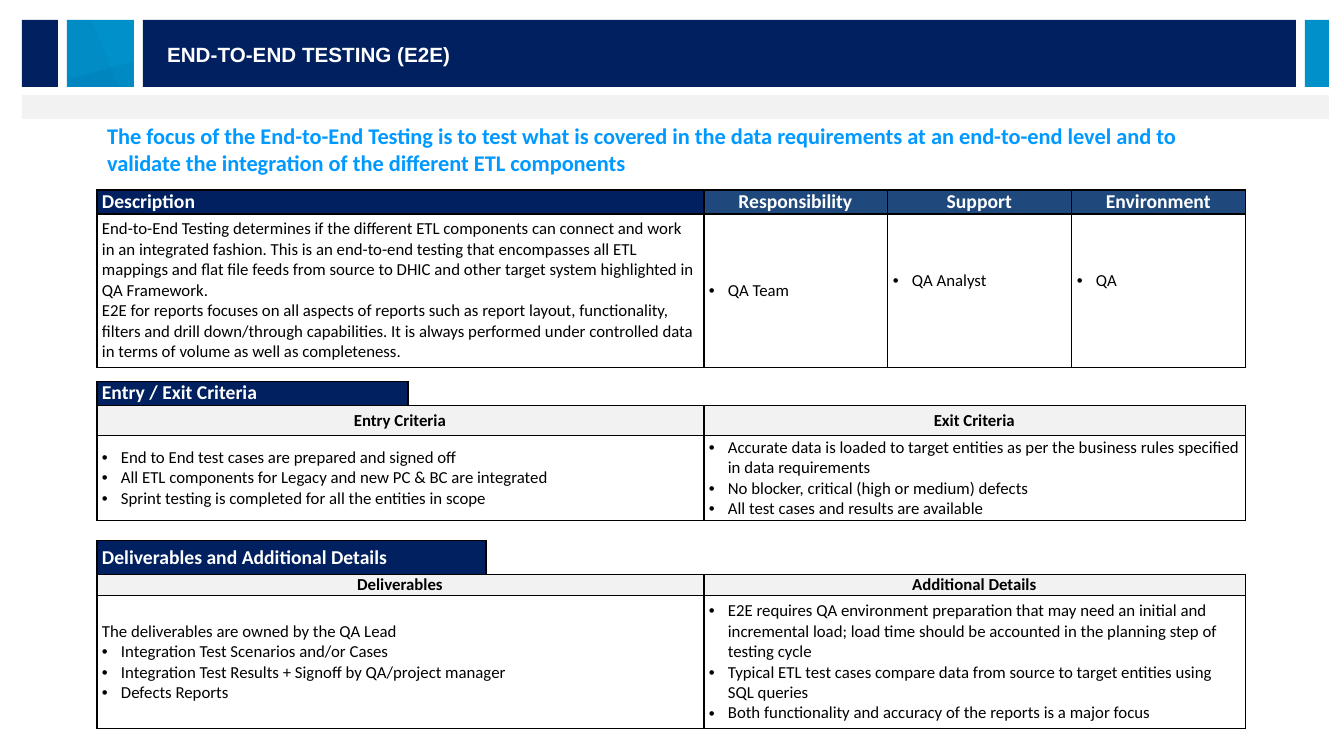
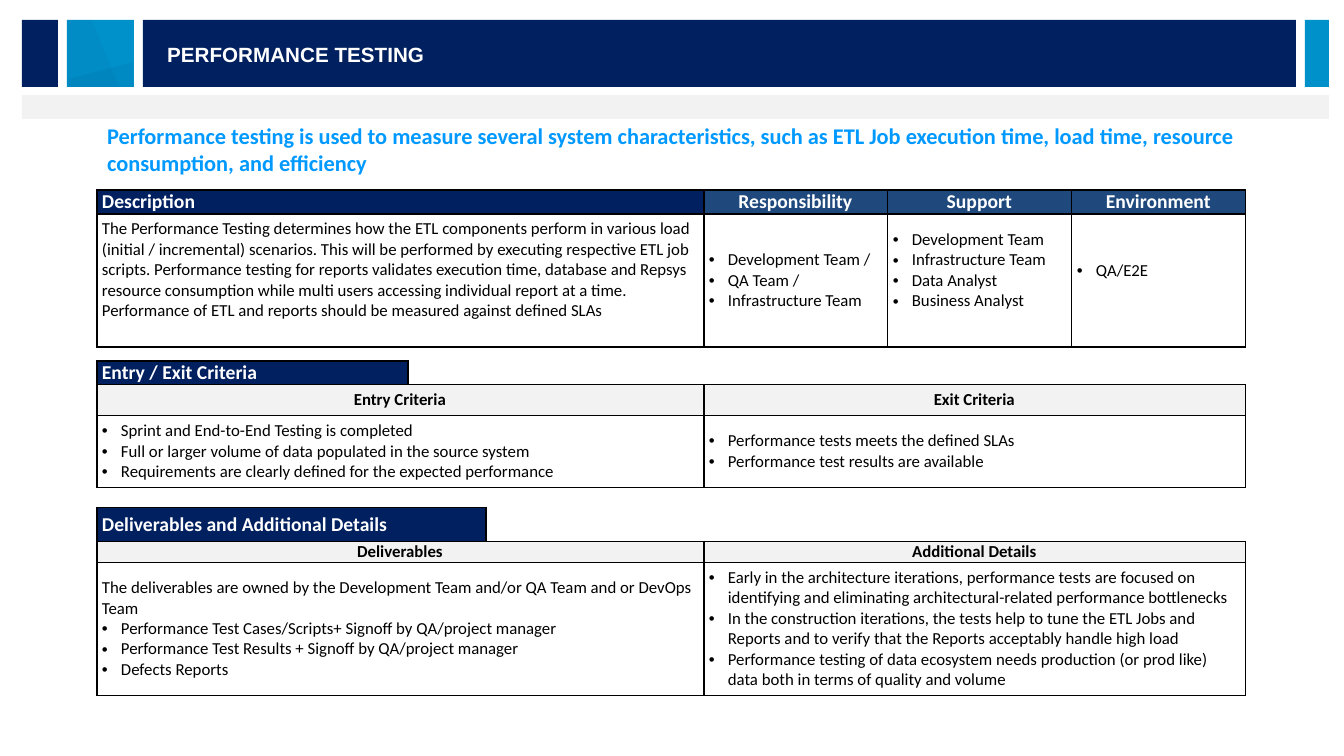
from dataclasses import dataclass

from lxml.etree import SubElement
from pptx import Presentation
from pptx.dml.color import RGBColor
from pptx.enum.shapes import MSO_SHAPE
from pptx.enum.text import MSO_ANCHOR, MSO_AUTO_SIZE, PP_ALIGN
from pptx.oxml import parse_xml
from pptx.oxml.ns import nsdecls, qn
from pptx.util import Pt

EMU_PER_PX = 914400 / 100.8
NO_TABLE_STYLE = "{2D5ABB26-0587-4C30-8999-92F81FD0307C}"
COLUMNS = (311, 78, 218, 184, 184, 174)
ROW_COUNT = 10


def px(length):
    return round(length * EMU_PER_PX)


@dataclass(frozen=True)
class Theme:
    navy: str = "002060"
    steel: str = "1F497D"
    shade: str = "17375E"
    cyan: str = "0091CB"
    headline: str = "0099FF"
    grey: str = "F2F2F2"
    white: str = "FFFFFF"
    black: str = "000000"
    text_font: str = "Calibri"
    banner_font: str = "Arial"
    headline_size: float = 16
    banner_size: float = 14.7
    heading_size: float = 14
    body_size: float = 12
    border_width: float = 1


class TestingDeck:
    def __init__(self, theme):
        self.theme = theme
        self.deck = Presentation()
        self.deck.slide_width, self.deck.slide_height = px(1344), px(756)
        self.layout = self.deck.slide_layouts[1]
        self.page = None
        self.table = None
        self.band_count = 0

    # Page frame
    def add_page(self, banner, headline):
        self.page = self.deck.slides.add_slide(self.layout)
        if not self.band_count:
            self.add_bands()
        theme = self.theme
        title, body = self.page.placeholders
        self.fill_placeholder(title, (97, 117, 1150, 73), headline, MSO_ANCHOR.TOP,
                              theme.text_font, theme.headline_size, theme.headline)
        self.fill_placeholder(body, (157, 38, 829, 33), banner, MSO_ANCHOR.MIDDLE,
                              theme.banner_font, theme.banner_size, theme.white)

    def fill_placeholder(self, box, place, text, anchor, font, size, color):
        box.left, box.top, box.width, box.height = map(px, place)
        frame = box.text_frame
        frame.word_wrap = True
        frame.auto_size = MSO_AUTO_SIZE.NONE
        frame.vertical_anchor = anchor
        para = frame.paragraphs[0]
        para.text = text
        para.alignment = PP_ALIGN.LEFT
        para.space_before = Pt(0)
        self.style(para, font, size, color, True)
        properties = para._p.get_or_add_pPr()
        properties.set("marL", "0")
        properties.set("indent", "0")
        properties.insert_element_before(
            parse_xml(f"<a:buNone {nsdecls('a')}/>"), "a:tabLst", "a:defRPr")

    def style(self, para, font, size, color, bold):
        para.font.name = font
        para.font.size = Pt(size)
        para.font.bold = bold
        para.font.color.rgb = RGBColor.from_string(color)

    # Shared bands, kept on the layout
    def add_bands(self):
        theme = self.theme
        for color, place in (
            (theme.navy, (143, 20, 1153, 67)),
            (theme.cyan, (67, 20, 67, 67)),
            (theme.navy, (22, 20, 36, 67)),
            (theme.cyan, (1305, 20, 24, 67)),
            (theme.grey, (22, 95, 1307, 24)),
        ):
            band = self.page.shapes.add_shape(MSO_SHAPE.RECTANGLE, *map(px, place))
            self.move_to_layout(band, color)
        for color, opacity, points in (
            (theme.shade, 5, ((67, 20), (92, 20), (119, 87), (67, 87))),
            (theme.navy, 6, ((133, 62), (69, 79), (69, 87), (133, 87))),
        ):
            outline = self.page.shapes.build_freeform(*points[0], scale=EMU_PER_PX)
            outline.add_line_segments(points[1:])
            facet = outline.convert_to_shape()
            self.move_to_layout(facet, color)
            tint = facet.element.spPr.find(f"{qn('a:solidFill')}/{qn('a:srgbClr')}")
            SubElement(tint, qn("a:alpha"), val=str(opacity * 1000))

    def move_to_layout(self, shape, color):
        shape.shadow.inherit = False
        shape.fill.solid()
        shape.fill.fore_color.rgb = RGBColor.from_string(color)
        shape.line.fill.background()
        shape.element.xpath("./p:nvSpPr/p:cNvPr")[0].set("id", str(100 + self.band_count))
        self.layout.shapes.element.insert(2 + self.band_count, shape.element)
        self.band_count += 1

    # Table
    def start_table(self, heights):
        frame = self.page.shapes.add_table(
            ROW_COUNT, len(COLUMNS), px(97), px(190), px(sum(COLUMNS)), px(sum(heights)))
        frame.element.find(f".//{qn('a:tableStyleId')}").text = NO_TABLE_STYLE
        self.table = frame.table
        self.table.first_row = self.table.horz_banding = False
        for column, width in zip(self.table.columns, COLUMNS):
            column.width = px(width)
        for row, height in zip(self.table.rows, heights):
            row.height = px(height)

    def add_span(self, row, column, span, sides):
        cell = self.table.cell(row, column)
        last = column + span - 1
        if span > 1:
            cell.merge(self.table.cell(row, last))
        self.draw_borders(cell, sides)
        for place in range(column + 1, last + 1):
            inner = sides.replace("L", "")
            self.draw_borders(self.table.cell(row, place),
                              inner if place == last else inner.replace("R", ""))
        return cell

    def add_gap(self, row, column, span, sides):
        cell = self.add_span(row, column, span, sides)
        cell.fill.background()
        cell.margin_top = cell.margin_bottom = 0

    def add_cell(self, row, column, span, fill, plain=(), bullets=(), size=None, color=None,
                 bold=False, align=PP_ALIGN.LEFT, anchor=MSO_ANCHOR.MIDDLE, inset=5, trail=0):
        theme = self.theme
        cell = self.add_span(row, column, span, "LRTB")
        cell.fill.solid()
        cell.fill.fore_color.rgb = RGBColor.from_string(fill)
        cell.vertical_anchor = anchor
        cell.margin_left, cell.margin_right = px(5), px(6)
        cell.margin_top, cell.margin_bottom = px(inset), px(inset + trail)
        frame = cell.text_frame
        for index, text in enumerate((*plain, *bullets)):
            para = frame.add_paragraph() if index else frame.paragraphs[0]
            para.text = text
            para.alignment = align
            self.style(para, theme.text_font, size or theme.body_size,
                       color or theme.black, bold)
            if index >= len(plain):
                self.add_bullet(para)

    def add_bullet(self, para):
        properties = para._p.get_or_add_pPr()
        properties.set("marL", str(px(19)))
        properties.set("indent", str(-px(19)))
        for xml in (f'<a:buFont {nsdecls("a")} typeface="Arial"/>',
                    f'<a:buChar {nsdecls("a")} char="•"/>'):
            properties.insert_element_before(parse_xml(xml), "a:tabLst", "a:defRPr")

    def draw_borders(self, cell, sides):
        properties = cell._tc.get_or_add_tcPr()
        black = f'<a:solidFill><a:srgbClr val="{self.theme.black}"/></a:solidFill>'
        for index, side in enumerate("LRTB"):
            paint = black if side in sides else "<a:noFill/>"
            properties.insert(index, parse_xml(
                f'<a:ln{side} {nsdecls("a")} w="{Pt(self.theme.border_width)}">'
                f'{paint}</a:ln{side}>'))

    def finish_table(self):
        # Tiny type in empty cells keeps the gap rows low
        for cell in self.table.iter_cells():
            if not cell.text_frame.text:
                SubElement(cell.text_frame.paragraphs[0]._p, qn("a:endParaRPr"), sz="100")

    def add_section_heading(self, row, column, span, text, fill, **options):
        self.add_cell(row, column, span, fill, [text], size=self.theme.heading_size,
                      color=self.theme.white, bold=True, **options)

    def add_column_pair(self, row, headings, left, right, heading_inset, right_inset):
        theme = self.theme
        for column, text in zip((0, 3), headings):
            self.add_cell(row, column, 3, theme.grey, [text], bold=True,
                          align=PP_ALIGN.CENTER, inset=heading_inset)
        self.add_cell(row + 1, 0, 3, theme.white, **left)
        self.add_cell(row + 1, 3, 3, theme.white, bullets=right, inset=right_inset)

    def add_test_page(self, content):
        theme = self.theme
        self.add_page(content["banner"], content["headline"])
        description, entry = content["row_heights"]
        self.start_table((24, description, 14, 24, 30, entry, 20, 34, 21, 133))

        # Description and roles
        self.add_section_heading(0, 0, 3, "Description", theme.navy, inset=0)
        self.add_cell(1, 0, 3, theme.white, content["description"], anchor=MSO_ANCHOR.TOP)
        for column, role in enumerate(("Responsibility", "Support", "Environment"), 3):
            self.add_section_heading(0, column, 1, role, theme.steel,
                                     align=PP_ALIGN.CENTER, inset=0)
            self.add_cell(1, column, 1, theme.white, bullets=content[role], inset=0,
                          trail=0 if role == "Responsibility" else 20)

        # Criteria and deliverables
        self.add_section_heading(3, 0, 1, "Entry / Exit Criteria", theme.navy, inset=0)
        self.add_column_pair(4, ("Entry Criteria", "Exit Criteria"),
                             {"bullets": content["entry"]}, content["exit"], 5, 0)
        self.add_section_heading(7, 0, 2, "Deliverables and Additional Details", theme.navy)
        self.add_column_pair(8, ("Deliverables", "Additional Details"),
                             {"plain": [content["owner"]], "bullets": content["deliverables"]},
                             content["details"], 0, 5)

        # Gaps between the sections and beside their headings
        for row, column, span, sides in (
            (2, 0, 5, "T"), (2, 5, 1, "T"), (3, 1, 5, "LB"),
            (6, 0, 3, "T"), (6, 3, 3, "T"), (7, 2, 4, "LB"),
        ):
            self.add_gap(row, column, span, sides)
        self.finish_table()


PAGES = (
    {
        "banner": "END-TO-END TESTING (E2E)",
        "headline": "The focus of the End-to-End Testing is to test what is covered in the data "
                    "requirements at an end-to-end level and to validate the integration of the "
                    "different ETL components",
        "row_heights": (153, 85),
        "description": (
            "End-to-End Testing determines if the different ETL components can connect and work "
            "in an integrated fashion. This is an end-to-end testing that encompasses all ETL "
            "mappings and flat file feeds from source to DHIC and other target system "
            "highlighted in QA Framework.",
            "E2E for reports focuses on all aspects of reports such as report layout, "
            "functionality, filters and drill down/through capabilities. It is always performed "
            "under controlled data in terms of volume as well as completeness."),
        "Responsibility": ("QA Team",),
        "Support": ("QA Analyst",),
        "Environment": ("QA",),
        "entry": ("End to End test cases are prepared and signed off",
                  "All ETL components for Legacy and new PC & BC are integrated",
                  "Sprint testing is completed for all the entities in scope"),
        "exit": ("Accurate data is loaded to target entities as per the business rules "
                 "specified in data requirements",
                 "No blocker, critical (high or medium) defects",
                 "All test cases and results are available"),
        "owner": "The deliverables are owned by the QA Lead",
        "deliverables": ("Integration Test Scenarios and/or Cases",
                         "Integration Test Results + Signoff by QA/project manager",
                         "Defects Reports"),
        "details": ("E2E requires QA environment preparation that may need an initial and "
                    "incremental load; load time should be accounted in the planning step of "
                    "testing cycle",
                    "Typical ETL test cases compare data from source to target entities using "
                    "SQL queries",
                    "Both functionality and accuracy of the reports is a major focus"),
    },
    {
        "banner": "PERFORMANCE TESTING",
        "headline": "Performance testing is used to measure several system characteristics, such "
                    "as ETL Job execution time, load time, resource consumption, and efficiency",
        "row_heights": (133, 72),
        "description": (
            "The Performance Testing determines how the ETL components perform in various load "
            "(initial / incremental) scenarios. This will be performed by executing respective "
            "ETL job scripts. Performance testing for reports validates execution time, database "
            "and Repsys resource consumption while multi users accessing individual report at a "
            "time. Performance of ETL and reports should be measured against defined SLAs",),
        "Responsibility": ("Development Team /", "QA Team /", "Infrastructure Team"),
        "Support": ("Development Team", "Infrastructure Team", "Data Analyst",
                    "Business Analyst"),
        "Environment": ("QA/E2E",),
        "entry": ("Sprint and End-to-End Testing is completed",
                  "Full or larger volume of data populated in the source system",
                  "Requirements are clearly defined for the expected performance"),
        "exit": ("Performance tests meets the defined SLAs",
                 "Performance test results are available"),
        "owner": "The deliverables are owned by the Development Team and/or QA Team and or "
                 "DevOps Team",
        "deliverables": ("Performance Test Cases/Scripts+ Signoff by QA/project manager",
                         "Performance Test Results + Signoff by QA/project manager",
                         "Defects Reports"),
        "details": ("Early in the architecture iterations, performance tests are focused on "
                    "identifying and eliminating architectural-related performance bottlenecks",
                    "In the construction iterations, the tests help to tune the ETL Jobs and "
                    "Reports and to verify that the Reports acceptably handle high load",
                    "Performance testing of data ecosystem needs production (or prod like) data "
                    "both in terms of quality and volume"),
    },
)


def main():
    testing = TestingDeck(Theme())
    for content in PAGES:
        testing.add_test_page(content)
    testing.deck.save("out.pptx")


if __name__ == "__main__":
    main()
